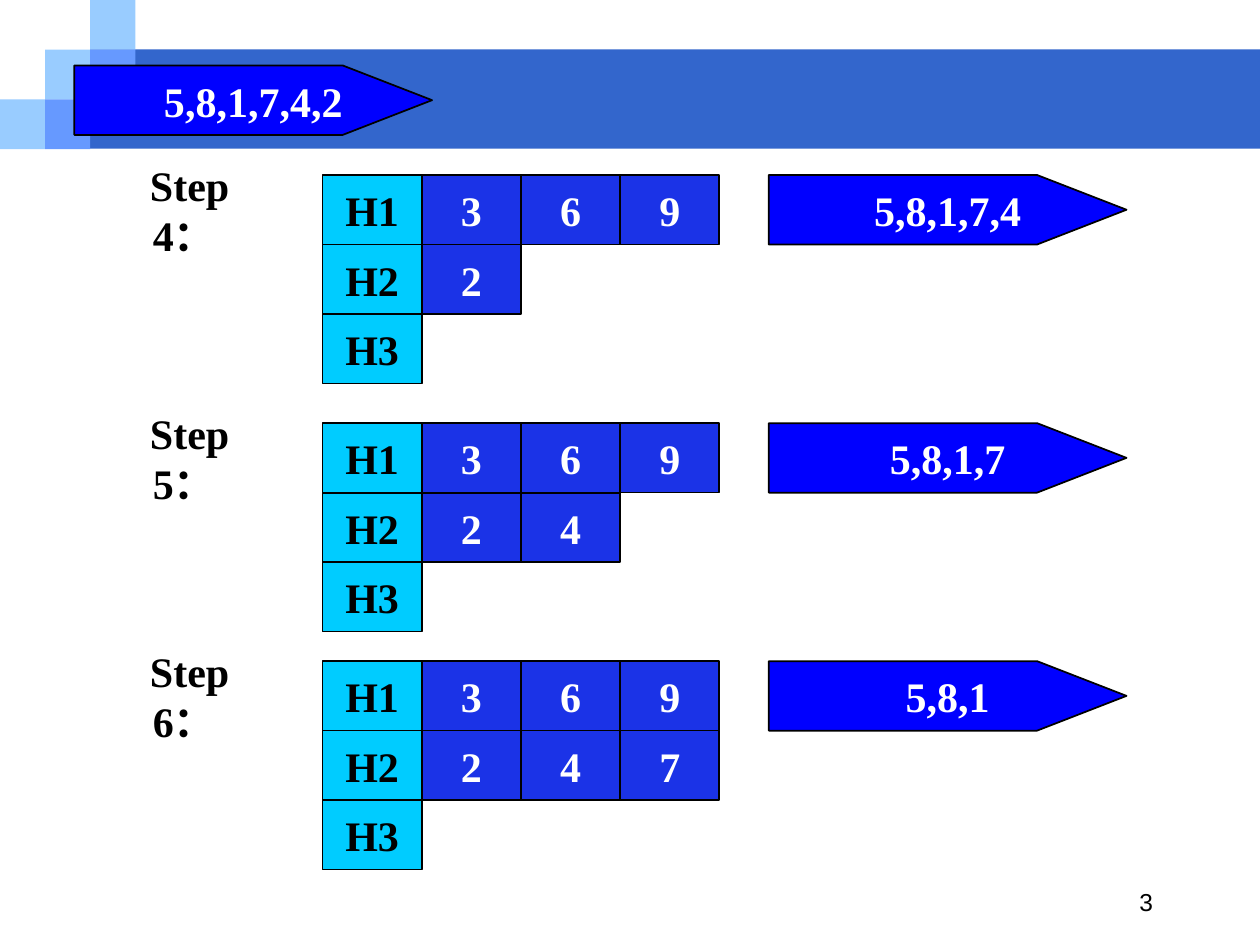
import pptx
import pptx.dml.color
import pptx.enum.shapes
import pptx.enum.text
import pptx.util

Pt = pptx.util.Pt
RGBColor = pptx.dml.color.RGBColor
RECTANGLE = pptx.enum.shapes.MSO_SHAPE.RECTANGLE
ALIGN = pptx.enum.text.PP_ALIGN

BLACK = RGBColor(0x00, 0x00, 0x00)
WHITE = RGBColor(0xFF, 0xFF, 0xFF)
BAND_BLUE = RGBColor(0x33, 0x66, 0xCC)
LIGHT_BLUE = RGBColor(0x99, 0xCC, 0xFF)
MID_BLUE = RGBColor(0x66, 0x99, 0xFF)
HEAD_CYAN = RGBColor(0x00, 0xCC, 0xFF)
CELL_BLUE = RGBColor(0x1B, 0x33, 0xE7)
QUEUE_BLUE = RGBColor(0x00, 0x00, 0xFF)

CELL_W, CELL_H = 56.7, 39.7
TABLE_X = 184.3
QUEUE_X, QUEUE_W, QUEUE_SHOULDER = 439.3, 204.4, 153.3
LABEL_X, LABEL_W = 60, 90.7
SQUARE_W, SQUARE_H = 25.8, 28.4


def style(sp, fill, line=None):
    sp.shadow.inherit = False
    sp.fill.solid()
    sp.fill.fore_color.rgb = fill
    if line is None:
        sp.line.fill.background()
    else:
        sp.line.color.rgb = line
        sp.line.width = Pt(1)


def write(sp, text, color, size=24, font="Times New Roman", bold=True, align=ALIGN.CENTER, wrap=False):
    tf = sp.text_frame
    tf.word_wrap = wrap
    tf.vertical_anchor = pptx.enum.text.MSO_ANCHOR.MIDDLE
    tf.text = text
    p = tf.paragraphs[0]
    p.alignment = align
    r = p.runs[0]
    r.font.name = font
    r.font.size = Pt(size)
    r.font.bold = bold
    r.font.color.rgb = color


prs = pptx.Presentation()
prs.slide_width, prs.slide_height = Pt(720), Pt(540)
s = prs.slides.add_slide(prs.slide_layouts[6])

# Header band and stepped squares, placed by column and row
band = s.shapes.add_shape(RECTANGLE, Pt(51.6), Pt(28.3), Pt(668.4), Pt(56.7))
style(band, BAND_BLUE)
squares = [(0, 2, LIGHT_BLUE), (1, 1, LIGHT_BLUE), (2, 0, LIGHT_BLUE), (2, 1, MID_BLUE), (1, 2, MID_BLUE)]
for col, row, color in squares:
    sp = s.shapes.add_shape(RECTANGLE, Pt(col * SQUARE_W), Pt(row * SQUARE_H), Pt(SQUARE_W), Pt(SQUARE_H))
    style(sp, color)

number = s.shapes.add_textbox(Pt(516), Pt(497.5), Pt(150), Pt(36))
write(number, "3", BLACK, size=14, font="Arial", bold=False, align=ALIGN.RIGHT, wrap=True)

# Waiting queues
queues = [
    (42.5, 37.4, "5,8,1,7,4,2"),
    (QUEUE_X, 100, "5,8,1,7,4"),
    (QUEUE_X, 241.8, "5,8,1,7"),
    (QUEUE_X, 377.8, "5,8,1"),
]
for x, y, text in queues:
    outline = s.shapes.build_freeform(Pt(x), Pt(y))
    outline.add_line_segments([
        (Pt(x + QUEUE_SHOULDER), Pt(y)),
        (Pt(x + QUEUE_W), Pt(y + CELL_H / 2)),
        (Pt(x + QUEUE_SHOULDER), Pt(y + CELL_H)),
        (Pt(x), Pt(y + CELL_H)),
    ])
    sp = outline.convert_to_shape()
    style(sp, QUEUE_BLUE, BLACK)
    write(sp, text, WHITE)

# Steps: each row is a heading followed by its assigned numbers
steps = [
    (" Step 4：", 100, ["H1 3 6 9", "H2 2", "H3"]),
    (" Step 5：", 241.8, ["H1 3 6 9", "H2 2 4", "H3"]),
    (" Step 6：", 377.8, ["H1 3 6 9", "H2 2 4 7", "H3"]),
]
for label, top, rows in steps:
    sp = s.shapes.add_textbox(Pt(LABEL_X), Pt(top), Pt(LABEL_W), Pt(CELL_H))
    write(sp, label, BLACK)
    for i, row in enumerate(rows):
        for j, text in enumerate(row.split()):
            sp = s.shapes.add_shape(
                RECTANGLE, Pt(TABLE_X + j * CELL_W), Pt(top + i * CELL_H), Pt(CELL_W), Pt(CELL_H))
            style(sp, CELL_BLUE if j else HEAD_CYAN, BLACK)
            write(sp, text, WHITE if j else BLACK)

prs.save("out.pptx")
